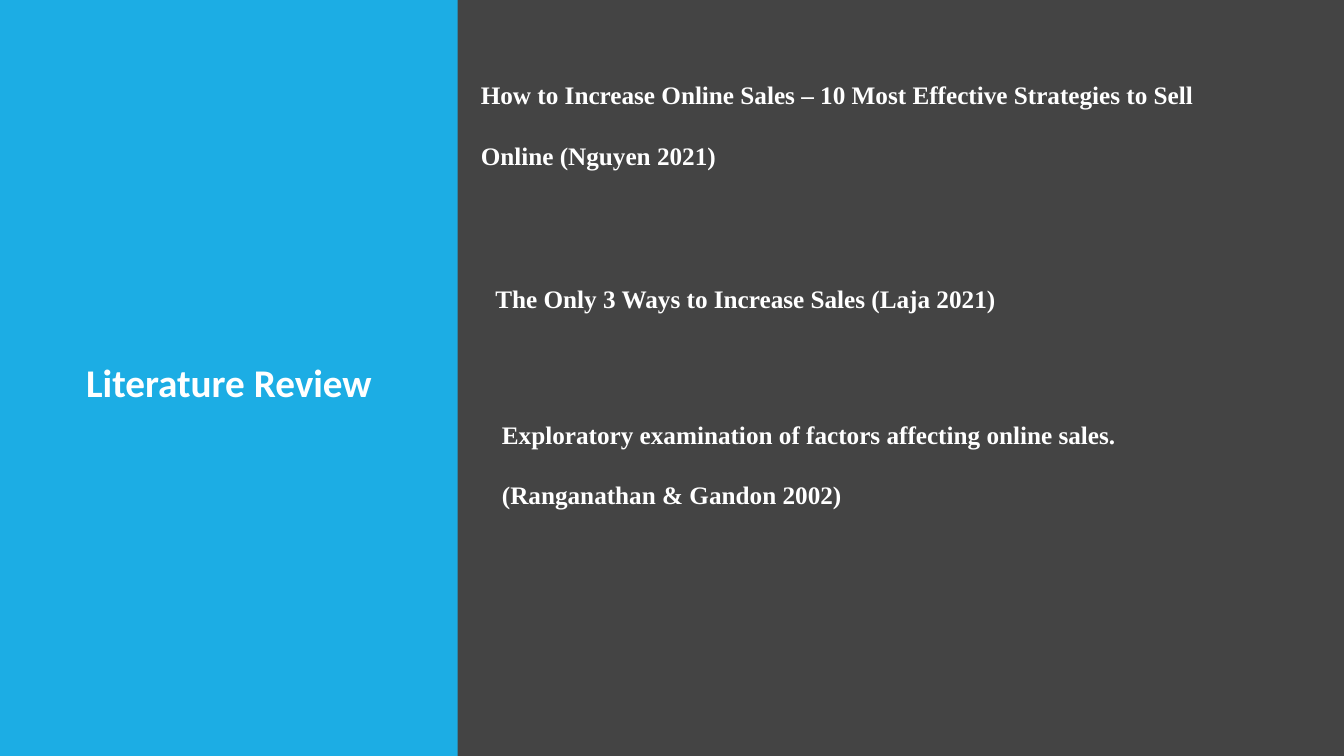
from pptx import Presentation
from pptx.dml.color import RGBColor
from pptx.enum.shapes import MSO_SHAPE
from pptx.enum.text import MSO_ANCHOR, MSO_AUTO_SIZE, PP_ALIGN
from pptx.util import Inches, Pt

RECT = MSO_SHAPE.RECTANGLE
MIDDLE = MSO_ANCHOR.MIDDLE
GROW = MSO_AUTO_SIZE.SHAPE_TO_FIT_TEXT
FIXED = MSO_AUTO_SIZE.NONE
LEFT, CENTER = PP_ALIGN.LEFT, PP_ALIGN.CENTER

WIDTH, HEIGHT = 13.33, 7.5
COLORS = {"dark": "444444", "blue": "1CADE4", "white": "FFFFFF"}


class Deck:
    """Holds the fonts, the colours and the current slide."""

    head_font = "Calibri"
    body_font = "Times New Roman"

    def __init__(self):
        self.prs = Presentation()
        self.prs.slide_width = Inches(WIDTH)
        self.prs.slide_height = Inches(HEIGHT)
        self.slide = self.prs.slides.add_slide(self.prs.slide_layouts[5])

    def paint(self, fill, name):
        fill.solid()
        fill.fore_color.rgb = RGBColor.from_string(COLORS[name])

    def panel(self, width, color):
        """Adds a full-height block from the left edge."""
        shape = self.slide.shapes.add_shape(
            RECT, 0, 0, Inches(width), Inches(HEIGHT))
        shape.shadow.inherit = False
        self.paint(shape.fill, color)
        shape.line.fill.background()

    def set_text(self, frame, text, font, size, align, spacing):
        frame.word_wrap = True
        frame.text = text
        para = frame.paragraphs[0]
        para.alignment = align
        para.line_spacing = spacing
        style = para.runs[0].font
        style.name, style.size, style.bold = font, Pt(size), True
        style.color.rgb = RGBColor.from_string(COLORS["white"])
        return para

    def title(self, text, left, top, width, height):
        shape = self.slide.shapes.title
        shape.left, shape.top = Inches(left), Inches(top)
        shape.width, shape.height = Inches(width), Inches(height)
        frame = shape.text_frame
        frame.vertical_anchor = MIDDLE
        frame.auto_size = FIXED
        self.set_text(frame, text, self.head_font, 28, CENTER, 0.9)
        # Bring the heading in front of the panels
        tree = shape.element.getparent()
        tree.append(shape.element)

    def source(self, text, left, top, width, height, align=LEFT, spacing=2.0):
        """Adds one reviewed work as a text box."""
        box = self.slide.shapes.add_textbox(
            Inches(left), Inches(top), Inches(width), Inches(height))
        frame = box.text_frame
        para = self.set_text(frame, text, self.body_font, 18, align, spacing)
        para.space_after = Pt(8)
        frame.auto_size = GROW


def main():
    deck = Deck()
    deck.paint(deck.slide.background.fill, "dark")
    deck.panel(WIDTH, "dark")
    deck.panel(4.54, "blue")
    deck.title("Literature Review", 0.48, 0.96, 3.58, 5.71)
    deck.source("How to Increase Online Sales – 10 Most Effective Strategies "
                "to Sell Online (Nguyen 2021)", 4.67, 0.44, 7.95, 1.23)
    deck.source("The Only 3 Ways to Increase Sales (Laja 2021)",
                4.06, 2.74, 6.67, 0.41, CENTER, 1.07)
    deck.source("Exploratory examination of factors affecting online sales. "
                "(Ranganathan & Gandon 2002)", 4.88, 3.81, 6.67, 1.23)
    deck.prs.save("out.pptx")


if __name__ == "__main__":
    main()
